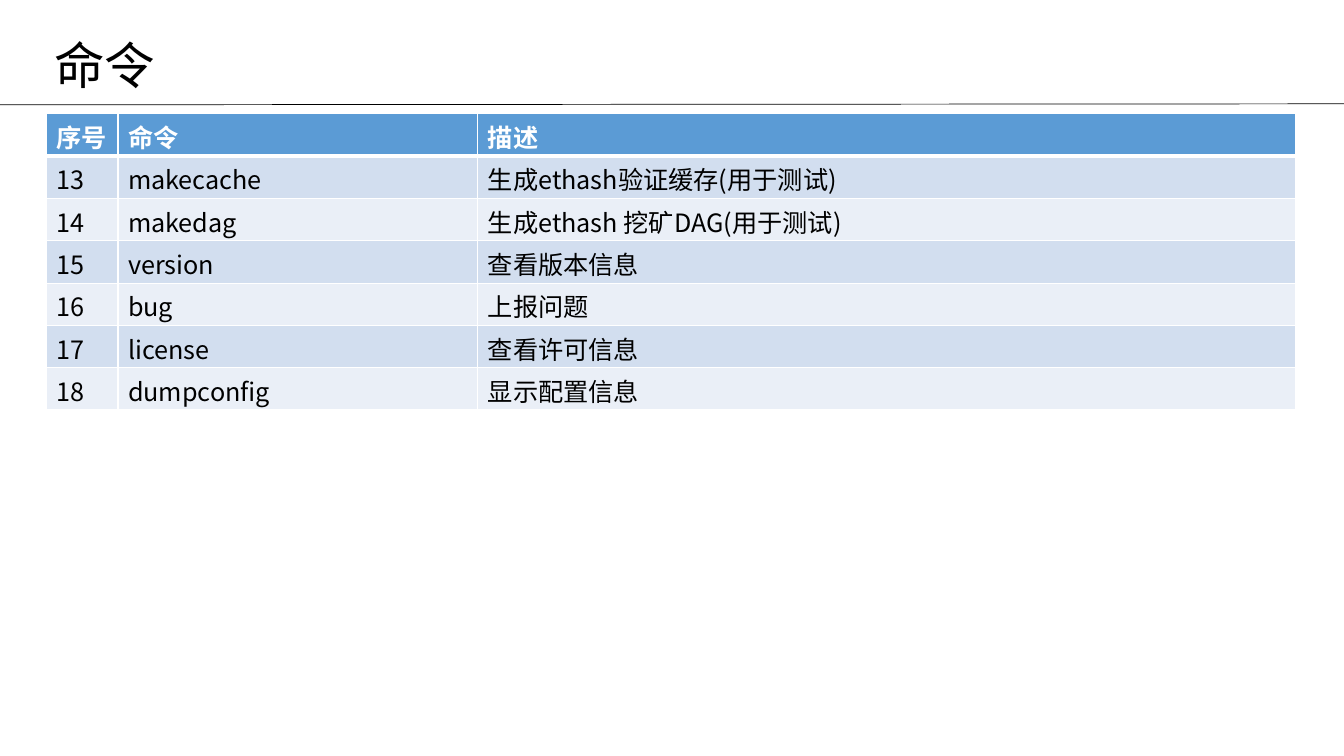
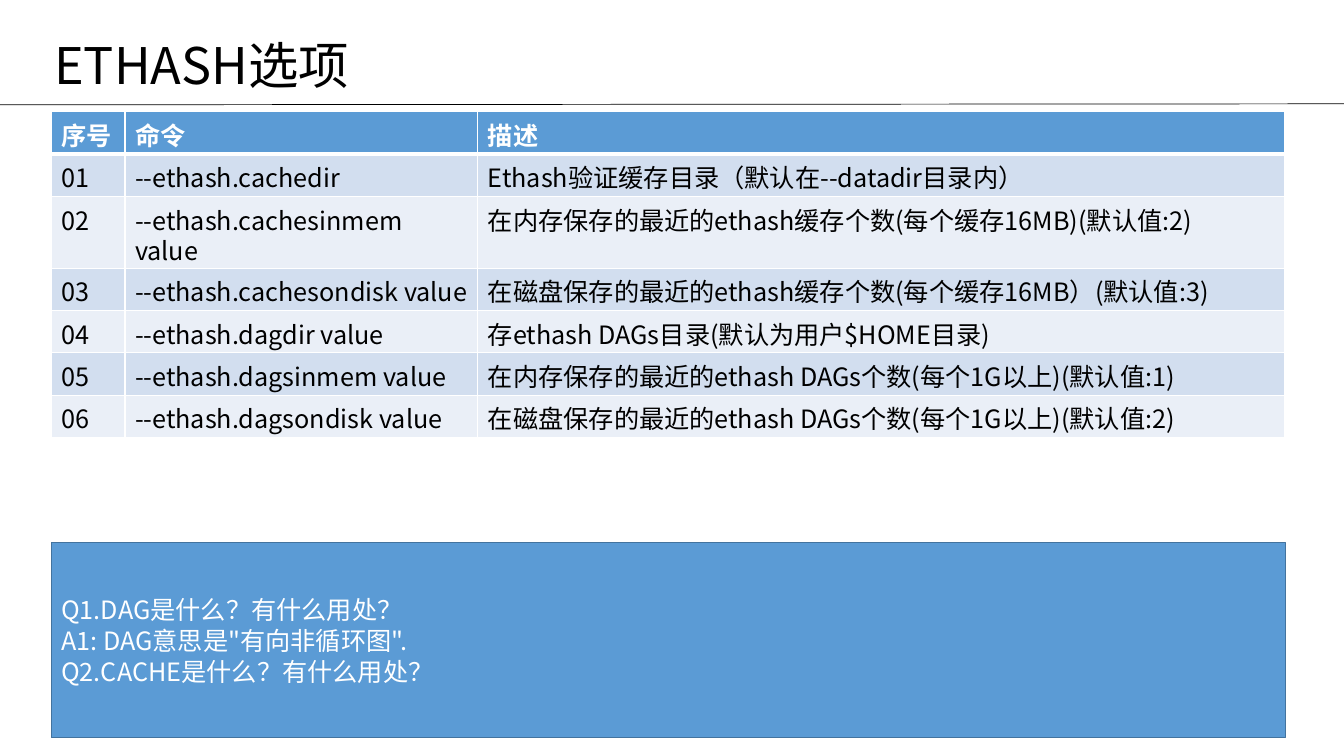
from lxml.etree import SubElement
from pptx import Presentation
from pptx.dml.color import RGBColor
from pptx.enum.shapes import MSO_CONNECTOR, MSO_SHAPE
from pptx.enum.text import MSO_ANCHOR, PP_ALIGN
from pptx.oxml import parse_xml
from pptx.oxml.ns import nsdecls, qn
from pptx.util import Inches, Pt

COLORS = {
    "text": "000000",
    "light": "FFFFFF",
    "accent": "5B9BD5",
    "outline": "43739E",
    "odd": "D2DEEF",
    "even": "EAEFF7",
}
FONT = "Noto Sans CJK SC"
SLIDE_WIDTH, SLIDE_HEIGHT = 13.33, 7.5
ROW_HEIGHT = 0.42
HEADER = ("序号", "命令", "描述")

COMMANDS = [
    ("13", "makecache", "生成ethash验证缓存(用于测试)"),
    ("14", "makedag", "生成ethash 挖矿DAG(用于测试)"),
    ("15", "version", "查看版本信息"),
    ("16", "bug", "上报问题"),
    ("17", "license", "查看许可信息"),
    ("18", "dumpconfig", "显示配置信息"),
]
ETHASH_OPTIONS = [
    ("01", "--ethash.cachedir", "Ethash验证缓存目录（默认在--datadir目录内）"),
    ("02", "--ethash.cachesinmem value", "在内存保存的最近的ethash缓存个数(每个缓存16MB)(默认值:2)"),
    ("03", "--ethash.cachesondisk value", "在磁盘保存的最近的ethash缓存个数(每个缓存16MB）(默认值:3)"),
    ("04", "--ethash.dagdir value", "存ethash DAGs目录(默认为用户$HOME目录)"),
    ("05", "--ethash.dagsinmem value", "在内存保存的最近的ethash DAGs个数(每个1G以上)(默认值:1)"),
    ("06", "--ethash.dagsondisk value", "在磁盘保存的最近的ethash DAGs个数(每个1G以上)(默认值:2)"),
]
QUESTIONS = [
    "Q1.DAG是什么？有什么用处？",
    'A1: DAG意思是"有向非循环图".',
    "Q2.CACHE是什么？有什么用处？",
]


def color(name):
    return RGBColor.from_string(COLORS[name])


def write(frame, *lines, size=18, fill="text", bold=False, spacing=22):
    """Fill a text frame with one paragraph per line; spacing is in points."""
    frame.word_wrap = True
    for index, line in enumerate(lines):
        para = frame.paragraphs[0] if index == 0 else frame.add_paragraph()
        para.alignment = PP_ALIGN.LEFT
        para.line_spacing = Pt(spacing)
        span = para.add_run()
        span.text = line
        span.font.size = Pt(size)
        span.font.bold = bold
        span.font.name = FONT
        span.font.color.rgb = color(fill)
        SubElement(span.font._element, qn("a:ea"), typeface=FONT)


def set_borders(cell, **widths):
    """Draw light cell borders; widths in points are keyed by side L, R, T, B."""
    properties = cell._tc.get_or_add_tcPr()
    for index, side in enumerate("LRTB"):
        width = Pt(widths.get(side, 1))
        properties.insert(index, parse_xml(
            f'<a:ln{side} {nsdecls("a")} w="{width}"><a:solidFill>'
            f'<a:srgbClr val="{COLORS["light"]}"/></a:solidFill></a:ln{side}>'))


def add_title(page, text):
    box = page.shapes.add_textbox(Inches(0.44), Inches(0.25), Inches(6.1), Inches(0.73))
    write(box.text_frame, text, size=36, spacing=46)
    rule = page.shapes.add_connector(
        MSO_CONNECTOR.STRAIGHT, 0, Inches(1.04), Inches(SLIDE_WIDTH), Inches(1.03))
    rule.line.color.rgb = color("text")
    rule.line.width = Pt(0.5)
    SubElement(rule._element.spPr, qn("a:effectLst"))


def add_command_table(page, left, top, widths, entries):
    rows = [HEADER, *entries]
    table = page.shapes.add_table(
        len(rows), len(widths), Inches(left), Inches(top),
        Inches(sum(widths)), Inches(ROW_HEIGHT * len(rows))).table
    for column, width in zip(table.columns, widths):
        column.width = Inches(width)
    for row_index, values in enumerate(rows):
        table.rows[row_index].height = Inches(ROW_HEIGHT)
        is_header = row_index == 0
        band = "accent" if is_header else "odd" if row_index % 2 else "even"
        for column_index, value in enumerate(values):
            cell = table.cell(row_index, column_index)
            cell.margin_top, cell.margin_bottom = Inches(0.1), 0
            set_borders(cell, T=3 if row_index == 1 else 1, B=3 if is_header else 1)
            cell.fill.solid()
            cell.fill.fore_color.rgb = color(band)
            write(cell.text_frame, value, bold=is_header,
                  fill="light" if is_header else "text")


def add_question_panel(page, left, top, width, height, lines):
    panel = page.shapes.add_shape(
        MSO_SHAPE.RECTANGLE, Inches(left), Inches(top), Inches(width), Inches(height))
    panel.shadow.inherit = False
    panel.fill.solid()
    panel.fill.fore_color.rgb = color("accent")
    panel.line.color.rgb = color("outline")
    panel.line.width = Pt(1)
    panel.text_frame.vertical_anchor = MSO_ANCHOR.MIDDLE
    write(panel.text_frame, *lines, fill="light")


def add_page(deck, title):
    page = deck.slides.add_slide(deck.slide_layouts[6])
    add_title(page, title)
    return page


def main():
    deck = Presentation()
    deck.slide_width, deck.slide_height = Inches(SLIDE_WIDTH), Inches(SLIDE_HEIGHT)

    commands = add_page(deck, "命令")
    add_command_table(commands, 0.46, 1.13, (0.71, 3.57, 8.11), COMMANDS)

    options = add_page(deck, "ETHASH选项")
    add_command_table(options, 0.51, 1.11, (0.73, 3.5, 8), ETHASH_OPTIONS)
    add_question_panel(options, 0.51, 5.38, 12.24, 1.94, QUESTIONS)

    deck.save("out.pptx")


if __name__ == "__main__":
    main()
